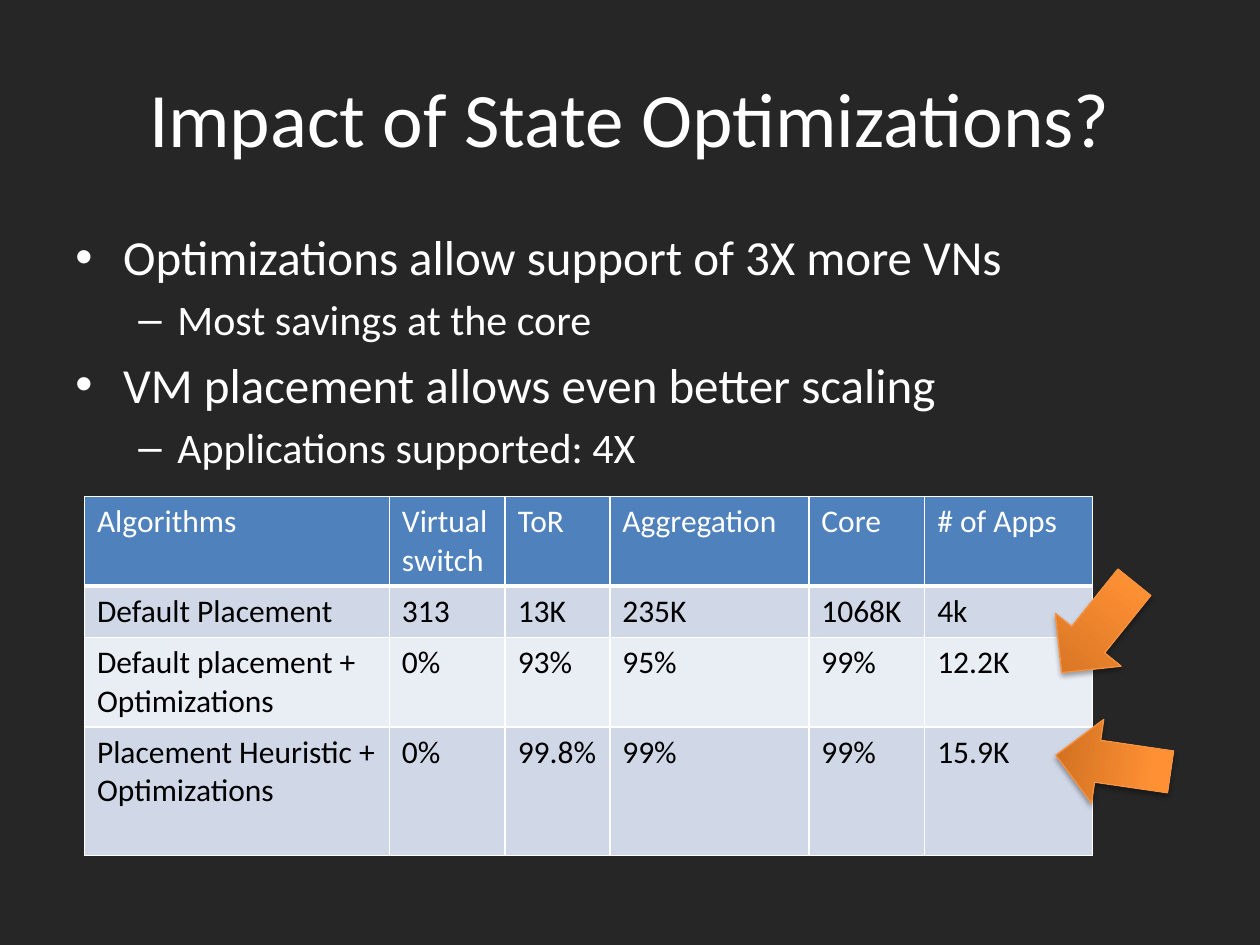
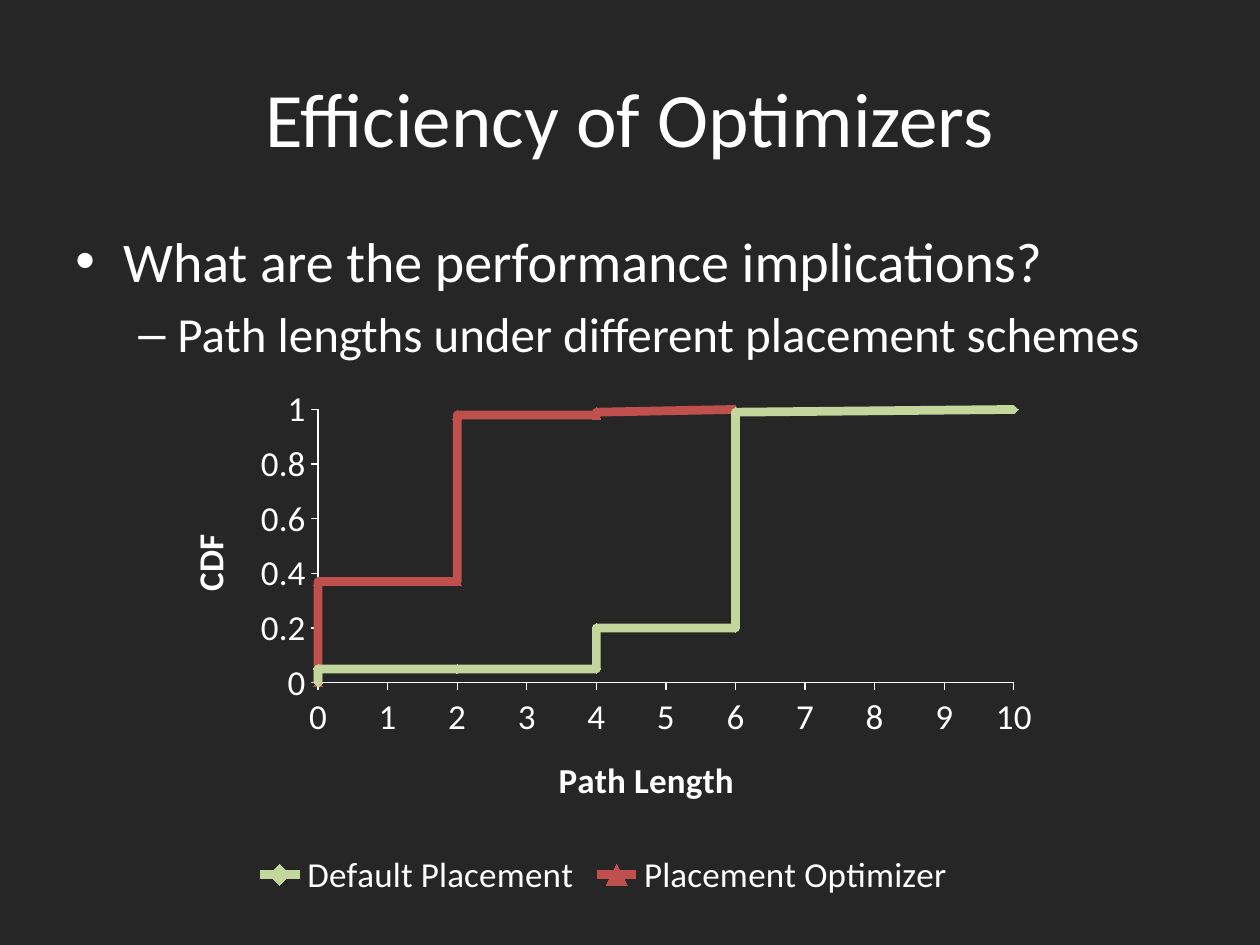
"""Builds two dark slides on the effect of placement optimizations."""
from pptx import Presentation
from pptx.chart.data import XyChartData
from pptx.dml.color import RGBColor
from pptx.enum.chart import XL_CHART_TYPE as ChartType
from pptx.enum.chart import XL_LEGEND_POSITION as LegendPosition
from pptx.enum.chart import XL_MARKER_STYLE as Marker
from pptx.enum.chart import XL_TICK_MARK as TickMark
from pptx.enum.shapes import MSO_SHAPE as Shape
from pptx.enum.text import MSO_ANCHOR as Anchor
from pptx.enum.text import PP_ALIGN as Align
from pptx.oxml import parse_xml
from pptx.oxml.ns import nsdecls
from pptx.util import Inches, Pt

COLORS = {
    "background": "262626", "text": "FFFFFF", "dark_text": "000000",
    "header": "4F81BD", "band": "D0D8E8", "light_band": "E9EDF4",
    "arrow_dark": "CC6E20", "arrow_light": "FF9034", "arrow_line": "F69240",
    "default": "C3D69B", "optimizer": "C0504D",
}
FONT = "Calibri"
BULLETS = [("\u2022", 0.38, 0.38), ("\u2013", 0.81, 0.31)]


def color(name):
    return RGBColor.from_string(COLORS[name])


def box(left, top, width, height):
    return [Inches(value) for value in (left, top, width, height)]


class Deck:
    def __init__(self):
        self.presentation = Presentation()
        self.presentation.slide_width = Inches(10)
        self.presentation.slide_height = Inches(7.5)
        fill = self.presentation.slide_master.background.fill
        fill.solid()
        fill.fore_color.rgb = color("background")
        self.slide = None

    def style(self, font, size, ink="text", bold=False):
        values = {"name": FONT, "size": Pt(size), "bold": bold}
        for name, value in values.items():
            setattr(font, name, value)
        font.color.rgb = color(ink)

    def place(self, shape, bounds):
        for name, value in zip(("left", "top", "width", "height"), box(*bounds)):
            setattr(shape, name, value)

    def add_slide(self, title):
        layout = self.presentation.slide_layouts.get_by_name("Title Only")
        self.slide = self.presentation.slides.add_slide(layout)
        shape = self.slide.shapes.title
        self.place(shape, (0.5, 0.3, 9, 1.25))
        frame = shape.text_frame
        frame.text = title
        frame.vertical_anchor = Anchor.MIDDLE
        frame.paragraphs[0].alignment = Align.CENTER
        self.style(frame.paragraphs[0].runs[0].font, 44)

    def add_bullets(self, items, sizes):
        frame = self.slide.shapes.add_textbox(*box(0.5, 1.75, 9, 4.95)).text_frame
        frame.word_wrap = True
        for index, (level, text) in enumerate(items):
            paragraph = frame.add_paragraph() if index else frame.paragraphs[0]
            paragraph.level = level
            paragraph.space_before = Pt(sizes[level] * 0.2)
            run = paragraph.add_run()
            run.text = text
            self.style(run.font, sizes[level])
            character, margin, hanging = BULLETS[level]
            properties = paragraph._p.get_or_add_pPr()
            properties.set("marL", str(Inches(margin)))
            properties.set("indent", str(-Inches(hanging)))
            properties.append(parse_xml(f'<a:buFont {nsdecls("a")} typeface="Arial"/>'))
            properties.append(parse_xml(f'<a:buChar {nsdecls("a")} char="{character}"/>'))

    def add_borders(self, cell, bottom):
        properties = cell._tc.get_or_add_tcPr()
        for side, width in (("L", 1), ("R", 1), ("T", 1), ("B", bottom)):
            properties.append(parse_xml(
                f'<a:ln{side} {nsdecls("a")} w="{Pt(width)}"><a:solidFill>'
                f'<a:srgbClr val="{COLORS["text"]}"/></a:solidFill></a:ln{side}>'))

    def add_table(self, rows, left, top, widths, heights):
        table = self.slide.shapes.add_table(
            len(rows), len(widths),
            *box(left, top, sum(widths), sum(heights))).table
        for column, width in zip(table.columns, widths):
            column.width = Inches(width)
        for row, height in zip(table.rows, heights):
            row.height = Inches(height)
        for row_index, row in enumerate(rows):
            band = "band" if row_index % 2 else "light_band"
            for column_index, text in enumerate(row):
                cell = table.cell(row_index, column_index)
                self.add_borders(cell, 1 if row_index else 3)
                cell.fill.solid()
                cell.fill.fore_color.rgb = color(band if row_index else "header")
                cell.text = text
                for paragraph in cell.text_frame.paragraphs:
                    for run in paragraph.runs:
                        self.style(run.font, 18, "dark_text" if row_index else "text")

    def add_arrow(self, left, top, rotation):
        shape = self.slide.shapes.add_shape(
            Shape.DOWN_ARROW, *box(left, top, 0.67, 0.92))
        shape.rotation = rotation
        shape.fill.gradient()
        shape.fill.gradient_angle = 90
        stops = zip(shape.fill.gradient_stops, ("arrow_dark", "arrow_light"), (0, 0.8))
        for stop, name, position in stops:
            stop.color.rgb = color(name)
            stop.position = position
        shape.line.color.rgb = color("arrow_line")
        shape.line.width = Pt(0.75)
        shape.shadow.inherit = False
        effects = shape.element.xpath("p:spPr/a:effectLst")[0]
        effects.append(parse_xml(
            f'<a:outerShdw {nsdecls("a")} blurRad="{Pt(3.1)}" dist="{Pt(1.8)}" '
            'dir="5400000" rotWithShape="0"><a:srgbClr val="000000">'
            '<a:alpha val="35000"/></a:srgbClr></a:outerShdw>'))

    def format_axis(self, axis, title, maximum, unit):
        values = {
            "minimum_scale": 0, "maximum_scale": maximum, "major_unit": unit,
            "has_major_gridlines": False, "major_tick_mark": TickMark.OUTSIDE,
            "minor_tick_mark": TickMark.NONE,
        }
        for name, value in values.items():
            setattr(axis, name, value)
        axis.format.line.color.rgb = color("text")
        self.style(axis.tick_labels.font, 20)
        frame = axis.axis_title.text_frame
        frame.text = title
        self.style(frame.paragraphs[0].runs[0].font, 20, bold=True)

    def add_step_chart(self, bounds, plot_bounds, series_points, formats):
        data = XyChartData()
        for name, points in series_points.items():
            series = data.add_series(name)
            for x, y in points:
                series.add_data_point(x, y)
        chart = self.slide.shapes.add_chart(
            ChartType.XY_SCATTER_LINES, *box(*bounds), data).chart
        chart.has_title = False
        self.style(chart.font, 20)
        chart.has_legend = True
        chart.legend.position = LegendPosition.BOTTOM
        chart.legend.include_in_layout = False
        self.style(chart.legend.font, 20)
        self.format_axis(chart.category_axis, "Path Length", 10, 1)
        self.format_axis(chart.value_axis, "CDF", 1, 0.2)
        chart.value_axis.tick_labels.number_format = "General"
        chart.value_axis.tick_labels.number_format_is_linked = False
        chart.plots[0].vary_by_categories = False
        for series, (name, marker) in zip(chart.plots[0].series, formats):
            series.smooth = False
            series.format.line.color.rgb = color(name)
            series.format.line.width = Pt(5)
            series.marker.style = marker
            series.marker.size = 5
            series.marker.format.fill.solid()
            series.marker.format.fill.fore_color.rgb = color(name)
            series.marker.format.line.color.rgb = color(name)
        self.set_plot_bounds(chart, plot_bounds)

    def set_plot_bounds(self, chart, bounds):
        plot_area = chart.element.xpath("c:chart/c:plotArea")[0]
        for layout in plot_area.xpath("c:layout"):
            plot_area.remove(layout)
        sizes = "".join(f'<c:{key} val="{value}"/>' for key, value in zip("xywh", bounds))
        plot_area.insert(0, parse_xml(
            f'<c:layout {nsdecls("c")}><c:manualLayout><c:layoutTarget val="inner"/>'
            f'<c:xMode val="edge"/><c:yMode val="edge"/>{sizes}'
            '</c:manualLayout></c:layout>'))


deck = Deck()

deck.add_slide("Impact of State Optimizations?")
deck.add_bullets([
    (0, "Optimizations allow support of 3X more VNs"),
    (1, "Most savings at the core"),
    (0, "VM placement allows even better scaling"),
    (1, "Applications supported: 4X"),
], sizes=(28, 24))
deck.add_table([
    ["Algorithms", "Virtual\vswitch", "ToR", "Aggregation", "Core", "# of Apps"],
    ["Default Placement", "313", "13K", "235K", "1068K", "4k"],
    ["Default placement +\nOptimizations", "0%", "93%", "95%", "99%", "12.2K"],
    ["Placement Heuristic +\nOptimizations", "0%", "99.8%", "99%", "99%", "15.9K"],
], 0.67, 3.94, widths=(2.42, 0.92, 0.83, 1.58, 0.92, 1.33),
    heights=(0.71, 0.41, 0.71, 1.02))
deck.add_arrow(8.38, 4.52, 38.8)
deck.add_arrow(8.5, 5.6, 98.3)

deck.add_slide("Efficiency of Optimizers")
deck.add_bullets([
    (0, "What are the performance implications?"),
    (1, "Path lengths under different placement schemes"),
], sizes=(32, 28))
lengths = [0, 0, 2, 2, 4, 4, 6, 6, 10]
deck.add_step_chart((1.25, 3, 7.08, 4.17), (0.18, 0.06, 0.78, 0.52), {
    "Default Placement": zip(lengths, [0, 0.05, 0.05, 0.05, 0.05, 0.2, 0.2, 0.99, 1]),
    "Placement Optimizer": zip(lengths, [0, 0.37, 0.37, 0.98, 0.98, 0.99, 1]),
}, [("default", Marker.DIAMOND), ("optimizer", Marker.TRIANGLE)])

deck.presentation.save("out.pptx")
